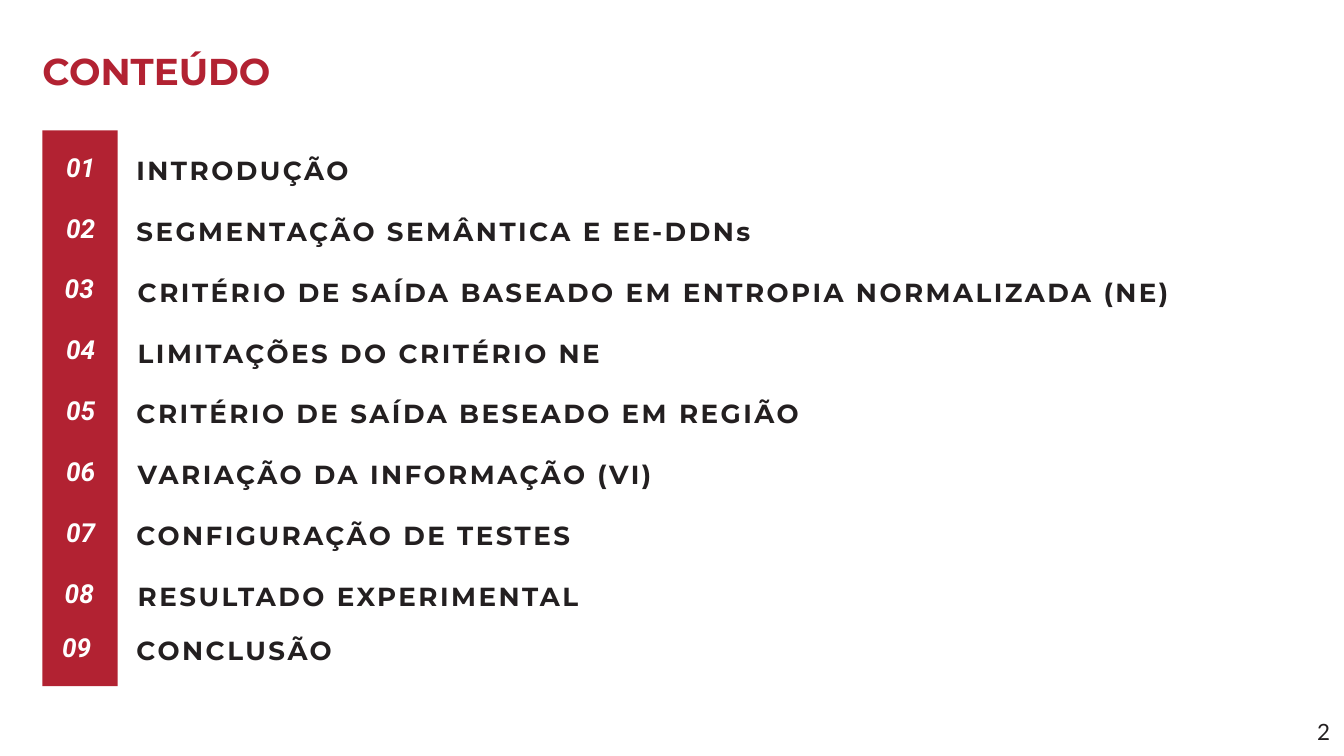
"""Build the table-of-contents slide with numbered topics beside a red band."""
from pptx import Presentation
from pptx.dml.color import RGBColor
from pptx.enum.shapes import MSO_SHAPE
from pptx.enum.text import MSO_ANCHOR, PP_ALIGN
from pptx.util import Inches, Pt

RED = RGBColor(0xB2, 0x22, 0x32)
INK = RGBColor(0x23, 0x1F, 0x20)
WHITE = RGBColor(0xFF, 0xFF, 0xFF)

FIRST_TOP = 2.23
ROW_PITCH = 0.905
LAST_TOP = 9.37

# number left, topic left, topic
TOPICS = [
    (0.82, 2.03, "INTRODUÇÃO"),
    (0.82, 2.03, "SEGMENTAÇÃO SEMÂNTICA E EE-DDNs"),
    (0.80, 2.05, "CRITÉRIO DE SAÍDA BASEADO EM ENTROPIA NORMALIZADA (NE)"),
    (0.82, 2.05, "LIMITAÇÕES DO CRITÉRIO NE"),
    (0.82, 2.03, "CRITÉRIO DE SAÍDA BESEADO EM REGIÃO"),
    (0.82, 2.05, "VARIAÇÃO DA INFORMAÇÃO (VI)"),
    (0.82, 2.03, "CONFIGURAÇÃO DE TESTES"),
    (0.80, 2.05, "RESULTADO EXPERIMENTAL"),
    (0.76, 2.03, "CONCLUSÃO"),
]

presentation = Presentation()
presentation.slide_width = Inches(20)
presentation.slide_height = Inches(11.25)
slide = presentation.slides.add_slide(presentation.slide_layouts[6])


def add_text(text, left, top, width, height, font_name, size, color,
             bold=True, italic=False, line=None, tracking=0, align=PP_ALIGN.LEFT):
    box = slide.shapes.add_textbox(Inches(left), Inches(top), Inches(width), Inches(height))
    frame = box.text_frame
    frame.margin_left = frame.margin_top = frame.margin_right = frame.margin_bottom = 0
    frame.word_wrap = True
    paragraph = frame.paragraphs[0]
    paragraph.alignment = align
    if line:
        paragraph.line_spacing = Pt(line)
    run = paragraph.add_run()
    run.text = text
    if tracking:
        run._r.get_or_add_rPr().set("spc", str(round(tracking * 100)))
    font = paragraph.font
    font.name = font_name
    font.size = Pt(size)
    font.bold = bold
    font.italic = italic
    font.color.rgb = color
    return frame


band = slide.shapes.add_shape(MSO_SHAPE.RECTANGLE, Inches(0.63), Inches(1.94),
                              Inches(1.12), Inches(8.27))
band.shadow.inherit = False
band.fill.solid()
band.fill.fore_color.rgb = RED
band.line.fill.background()

title = add_text("CONTEÚDO", 0.63, 0.71, 3.42, 0.67, "Montserrat", 40, RED)
title.word_wrap = False
title.vertical_anchor = MSO_ANCHOR.MIDDLE

for index, (number_left, topic_left, topic) in enumerate(TOPICS):
    is_last = index == len(TOPICS) - 1
    top = LAST_TOP if is_last else FIRST_TOP + index * ROW_PITCH
    add_text(f"{index + 1:02d}", number_left, top + 0.02, 0.76, 0.44, "Roboto", 28, WHITE,
             italic=True, line=33.6, align=PP_ALIGN.CENTER)
    add_text(topic, topic_left, top, 16.54, 0.51, "Montserrat", 28, INK,
             line=38.6, tracking=2.7)

add_text("2", 19.6, 10.62, 0.26, 0.45, "Lato", 24, INK,
         bold=False, line=33.1, tracking=2.4)

presentation.save("out.pptx")
